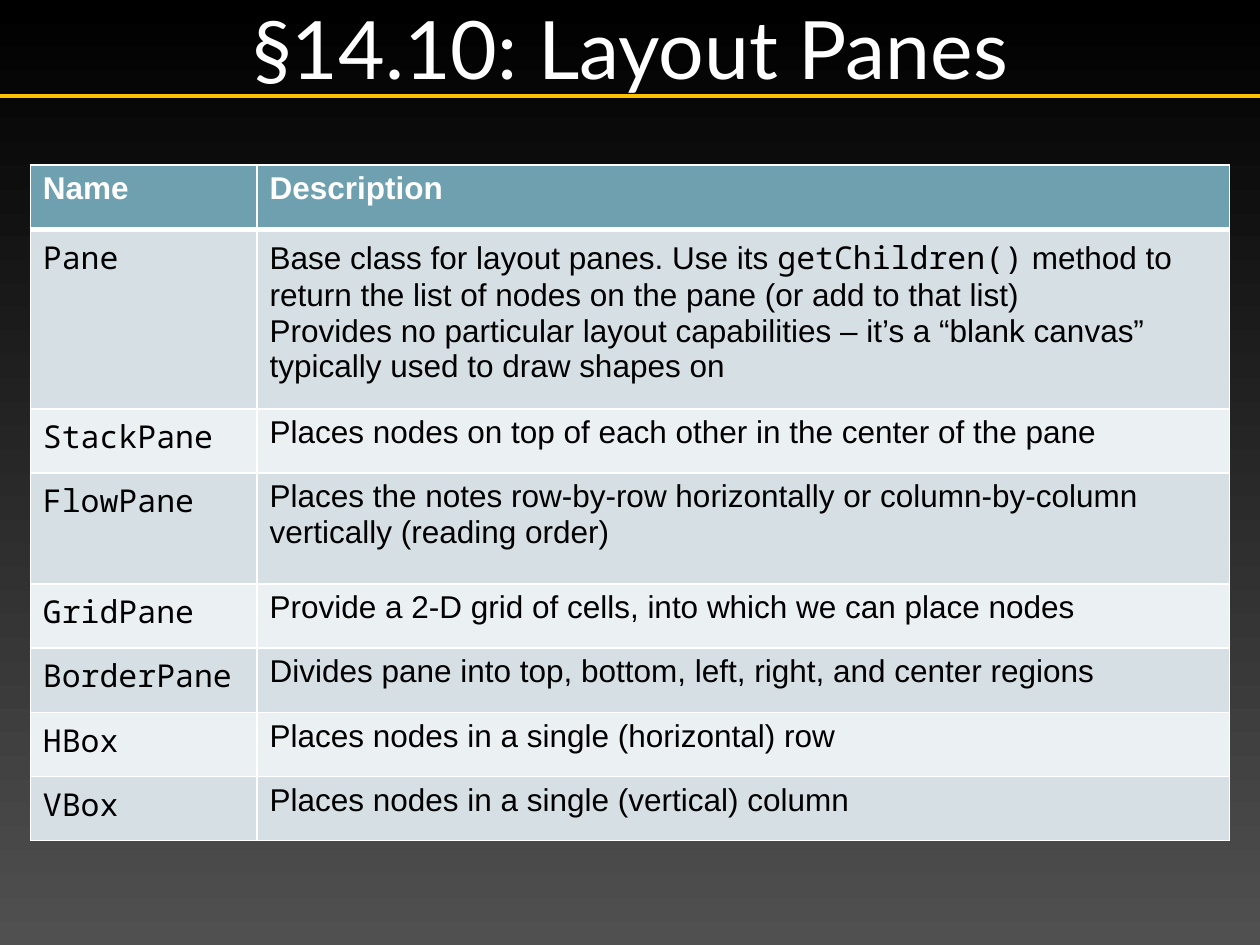
from dataclasses import dataclass
from typing import NamedTuple

from lxml.etree import SubElement as Sub
from pptx import Presentation
from pptx.dml.color import RGBColor as Rgb
from pptx.enum.shapes import MSO_CONNECTOR as Link
from pptx.enum.text import MSO_ANCHOR as Anchor, MSO_AUTO_SIZE as Fit, PP_ALIGN as Align
from pptx.oxml.ns import qn
from pptx.util import Pt


@dataclass(frozen=True)
class Theme:
    top: str = "000000"
    base: str = "505050"
    rule: str = "FFC000"
    head: str = "6EA0B0"
    bands: tuple[str, str] = ("D5DFE4", "EBF0F2")
    light: str = "FFFFFF"
    ink: str = "000000"
    title_font: str = "Lato"
    body_font: str = "Arial"
    code_font: str = "Noto Sans Mono"
    title_size: float = 46
    body_size: float = 18


class Part(NamedTuple):
    text: str
    code: bool = False


class Row(NamedTuple):
    name: str
    about: tuple[Part, ...]
    height: float = 36.7


THEME = Theme()
WIDTH, HEIGHT = 720, 540
COLS = (129.6, 555.8)
HEAD = Row("Name", (Part("Description"),))
ROWS = (
    Row("Pane", (
        Part("Base class for layout panes. Use its "),
        Part("getChildren()", True),
        Part(" method to return the list of nodes on the pane (or add to that list)\n"
             "Provides no particular layout capabilities – it’s a “blank canvas” "
             "typically used to draw shapes on"),
    ), 102.6),
    Row("StackPane", (Part("Places nodes on top of each other in the center of the pane"),)),
    Row("FlowPane", (Part("Places the notes row-by-row horizontally or column-by-column "
                          "vertically (reading order)"),), 63.4),
    Row("GridPane", (Part("Provide a 2-D grid of cells, into which we can place nodes"),)),
    Row("BorderPane", (Part("Divides pane into top, bottom, left, right, and center regions"),)),
    Row("HBox", (Part("Places nodes in a single (horizontal) row"),)),
    Row("VBox", (Part("Places nodes in a single (vertical) column"),)),
)


def tint(hue: str) -> Rgb:
    return Rgb.from_string(hue)


def style(font, face: str, size: float, hue: str, bold: bool = False) -> None:
    font.name, font.size, font.bold = face, Pt(size), bold
    font.color.rgb = tint(hue)


def write(cell, parts: tuple[Part, ...], hue: str, bold: bool) -> None:
    """Add each part as a run, with a line break at each newline."""
    para = cell.text_frame.paragraphs[0]
    for part in parts:
        for i, line in enumerate(part.text.split("\n")):
            if i:
                para.add_line_break()
            run = para.add_run()
            run.text = line
            face = THEME.code_font if part.code else THEME.body_font
            style(run.font, face, THEME.body_size, hue, bold)


def edge(cell, above: float, below: float) -> None:
    """Draw the cell's borders; they must come before its fill."""
    props = cell._tc.get_or_add_tcPr()
    for side, width in zip("LRTB", (1, 1, above, below)):
        line = Sub(props, qn(f"a:ln{side}"), w=str(Pt(width)))
        Sub(Sub(line, qn("a:solidFill")), qn("a:srgbClr"), val=THEME.light)


def paint(slide) -> None:
    fill = slide.background.fill
    fill.gradient()
    fill.gradient_angle = 270
    for stop, hue in zip(fill.gradient_stops, (THEME.top, THEME.base)):
        stop.color.rgb = tint(hue)


def add_rule(slide, y: float) -> None:
    rule = slide.shapes.add_connector(Link.STRAIGHT, 0, Pt(y), Pt(WIDTH), Pt(y))
    rule.line.color.rgb = tint(THEME.rule)
    rule.line.width = Pt(2.5)
    Sub(rule._element.spPr, qn("a:effectLst"))


def set_title(slide, text: str) -> None:
    title = slide.shapes.title
    title.left, title.top, title.width, title.height = 0, 0, Pt(WIDTH), Pt(54)
    frame = title.text_frame
    frame.auto_size, frame.word_wrap = Fit.NONE, True
    frame.vertical_anchor = Anchor.MIDDLE
    frame.margin_left = frame.margin_right = Pt(3.6)
    frame.margin_top = frame.margin_bottom = Pt(3.6)
    para = frame.paragraphs[0]
    para.alignment = Align.CENTER
    run = para.add_run()
    run.text = text
    style(run.font, THEME.title_font, THEME.title_size, THEME.light)


def add_grid(slide, left: float, top: float) -> None:
    rows = (HEAD, *ROWS)
    tall = sum(row.height for row in rows)
    grid = slide.shapes.add_table(len(rows), len(COLS), Pt(left), Pt(top),
                                  Pt(sum(COLS)), Pt(tall)).table
    for col, width in zip(grid.columns, COLS):
        col.width = Pt(width)
    for i, row in enumerate(rows):
        grid.rows[i].height = Pt(row.height)
        head = i == 0
        back = THEME.head if head else THEME.bands[(i - 1) % 2]
        for j, parts in enumerate(((Part(row.name, not head),), row.about)):
            cell = grid.cell(i, j)
            edge(cell, 3 if i == 1 else 1, 3 if head else 1)
            cell.fill.solid()
            cell.fill.fore_color.rgb = tint(back)
            write(cell, parts, THEME.light if head else THEME.ink, head)


def main() -> None:
    deck = Presentation()
    deck.slide_width, deck.slide_height = Pt(WIDTH), Pt(HEIGHT)
    slide = deck.slides.add_slide(deck.slide_layouts[5])
    paint(slide)
    add_rule(slide, 54.7)
    set_title(slide, "§14.10: Layout Panes")
    add_grid(slide, 17.3, 94.3)
    deck.save("out.pptx")


if __name__ == "__main__":
    main()
